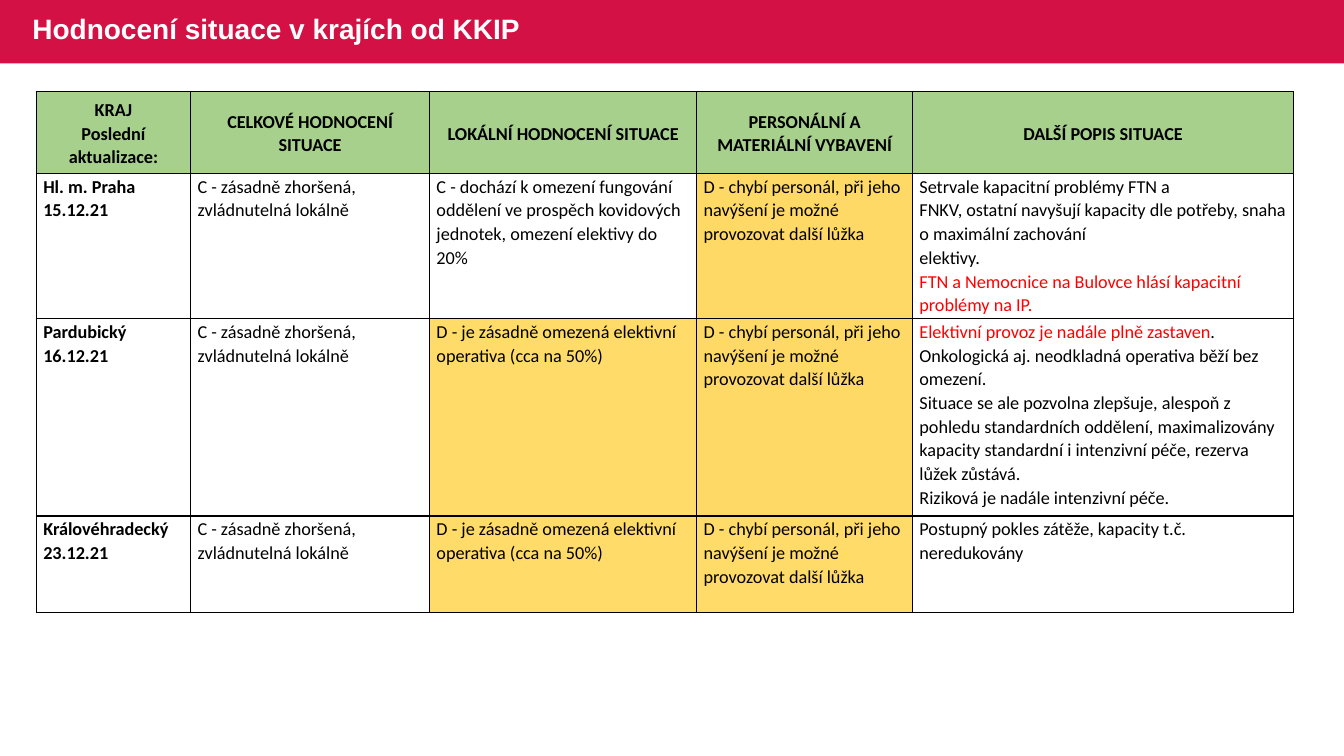
import pptx
import pptx.util
import pptx.dml.color
import pptx.enum.shapes
import pptx.enum.text
import pptx.oxml
import pptx.oxml.ns
from pptx.util import Inches

CRIMSON, WHITE, BLACK, RED = "D31145", "FFFFFF", "000000", "FF0000"
GREEN, AMBER, LIGHT_AMBER = "A8D08D", "FFD966", "FFDB69"

# Assessments that recur between regions
WORSENED = "C - zásadně zhoršená, zvládnutelná lokálně"
ELECTIVE_LIMITED = "D - je zásadně omezená elektivní operativa (cca na 50%)"
STAFF_MISSING = "D - chybí personál, při jeho navýšení je možné provozovat další lůžka"

# A cell is a list of paragraphs, a paragraph a list of (text, colour) runs or plain text
HEADINGS = [
    ["KRAJ", "Poslední aktualizace:"],
    ["CELKOVÉ HODNOCENÍ SITUACE"],
    ["LOKÁLNÍ HODNOCENÍ SITUACE"],
    ["PERSONÁLNÍ A MATERIÁLNÍ VYBAVENÍ"],
    ["DALŠÍ POPIS SITUACE"],
]
REGIONS = [
    [
        ["Hl. m. Praha", "15.12.21"],
        [WORSENED],
        ["C - dochází k omezení fungování oddělení ve prospěch kovidových "
         "jednotek, omezení elektivy do 20%"],
        [STAFF_MISSING],
        ["Setrvale kapacitní problémy FTN a\nFNKV, ostatní navyšují kapacity "
         "dle potřeby, snaha o maximální zachování\nelektivy.",
         [("FTN a Nemocnice na Bulovce hlásí kapacitní problémy na IP.", RED)]],
    ],
    [
        ["Pardubický", "16.12.21"],
        [WORSENED],
        [ELECTIVE_LIMITED],
        [STAFF_MISSING],
        [[("Elektivní provoz je nadále plně zastaven", RED),
          (". Onkologická aj. neodkladná operativa běží bez omezení.", BLACK)],
         "Situace se ale pozvolna zlepšuje, alespoň z pohledu standardních "
         "oddělení, maximalizovány kapacity standardní i intenzivní péče, "
         "rezerva lůžek zůstává.",
         "Riziková je nadále intenzivní péče."],
    ],
    [
        ["Královéhradecký", "23.12.21"],
        [WORSENED],
        [ELECTIVE_LIMITED],
        [STAFF_MISSING],
        ["Postupný pokles zátěže, kapacity t.č. neredukovány"],
    ],
]
REGION_FILLS = [
    [None, None, None, AMBER, None],
    [None, None, LIGHT_AMBER, AMBER, None],
    [None, None, LIGHT_AMBER, LIGHT_AMBER, None],
]
COLUMN_WIDTHS = [1.53, 2.37, 2.65, 2.14, 3.78]
ROW_HEIGHTS = [0.81, 1.44, 1.96, 0.96]


def rgb(code):
    return pptx.dml.color.RGBColor.from_string(code)


class RegionSlide:
    title_font, table_font = "Arial", "Calibri"
    title_size, table_size = pptx.util.Pt(20), pptx.util.Pt(13)
    line_spacing = 1.07

    def __init__(self, presentation):
        self.slide = presentation.slides.add_slide(presentation.slide_layouts[5])

    def style(self, paragraph, font, size, bold, color=None):
        paragraph.font.name = font
        paragraph.font.size = size
        paragraph.font.bold = bold
        if color:
            paragraph.font.color.rgb = rgb(color)

    def title(self, text, left, top, width, height):
        heading = self.slide.shapes.title
        heading.left, heading.top = Inches(left), Inches(top)
        heading.width, heading.height = Inches(width), Inches(height)
        heading.text_frame.vertical_anchor = pptx.enum.text.MSO_ANCHOR.MIDDLE
        paragraph = heading.text_frame.paragraphs[0]
        paragraph.text = text
        paragraph.alignment = pptx.enum.text.PP_ALIGN.LEFT
        paragraph.line_spacing = 0.9
        self.style(paragraph, self.title_font, self.title_size, True, WHITE)

    def band(self, left, top, width, height, color):
        band = self.slide.shapes.add_shape(
            pptx.enum.shapes.MSO_SHAPE.RECTANGLE,
            Inches(left), Inches(top), Inches(width), Inches(height))
        band.shadow.inherit = False
        band.fill.solid()
        band.fill.fore_color.rgb = rgb(color)
        band.line.fill.background()
        # The band lies behind the title
        self.slide.shapes.title.element.addprevious(band.element)

    def table(self, left, top, widths, heights):
        table = self.slide.shapes.add_table(
            len(heights), len(widths), Inches(left), Inches(top),
            Inches(sum(widths)), Inches(sum(heights))).table
        table.first_row = table.horz_banding = False
        for column, width in zip(table.columns, widths):
            column.width = Inches(width)
        for row, height in zip(table.rows, heights):
            row.height = Inches(height)
        return table

    def borders(self, cell):
        properties = cell._tc.get_or_add_tcPr()
        for side in ("lnL", "lnR", "lnT", "lnB"):
            properties.append(pptx.oxml.parse_xml(
                f'<a:{side} {pptx.oxml.ns.nsdecls("a")} w="12700"><a:solidFill>'
                f'<a:srgbClr val="{BLACK}"/></a:solidFill></a:{side}>'))

    def cell(self, cell, content, fill=None, bold=False, heading=False):
        self.borders(cell)
        if fill:
            cell.fill.solid()
            cell.fill.fore_color.rgb = rgb(fill)
        else:
            cell.fill.background()
        cell.margin_left = cell.margin_right = Inches(0.07)
        cell.margin_top, cell.margin_bottom = Inches(0.01), 0
        anchor = pptx.enum.text.MSO_ANCHOR
        cell.vertical_anchor = anchor.MIDDLE if heading else anchor.TOP
        frame = cell.text_frame
        for index, runs in enumerate(content):
            paragraph = frame.add_paragraph() if index else frame.paragraphs[0]
            paragraph.line_spacing = self.line_spacing
            if heading:
                paragraph.alignment = pptx.enum.text.PP_ALIGN.CENTER
            if isinstance(runs, str):
                paragraph.text = runs.replace("\n", "\v")
                self.style(paragraph, self.table_font, self.table_size, bold, BLACK)
                continue
            self.style(paragraph, self.table_font, self.table_size, bold)
            for text, color in runs:
                run = paragraph.add_run()
                run.text = text
                run.font.color.rgb = rgb(color)


def main():
    presentation = pptx.Presentation()
    presentation.slide_width = Inches(13.33)
    presentation.slide_height = Inches(7.5)
    page = RegionSlide(presentation)

    # Title band
    page.title("Hodnocení situace v krajích od KKIP", 0.22, -0.01, 8.14, 0.63)
    page.band(0, 0, 13.33, 0.63, CRIMSON)

    # Table of regions
    assessments = page.table(0.36, 0.91, COLUMN_WIDTHS, ROW_HEIGHTS)
    for column, heading in enumerate(HEADINGS):
        page.cell(assessments.cell(0, column), heading, GREEN, bold=True, heading=True)
    for row, (region, fills) in enumerate(zip(REGIONS, REGION_FILLS), start=1):
        for column, (content, fill) in enumerate(zip(region, fills)):
            page.cell(assessments.cell(row, column), content, fill, bold=column == 0)

    presentation.save("out.pptx")


if __name__ == "__main__":
    main()
